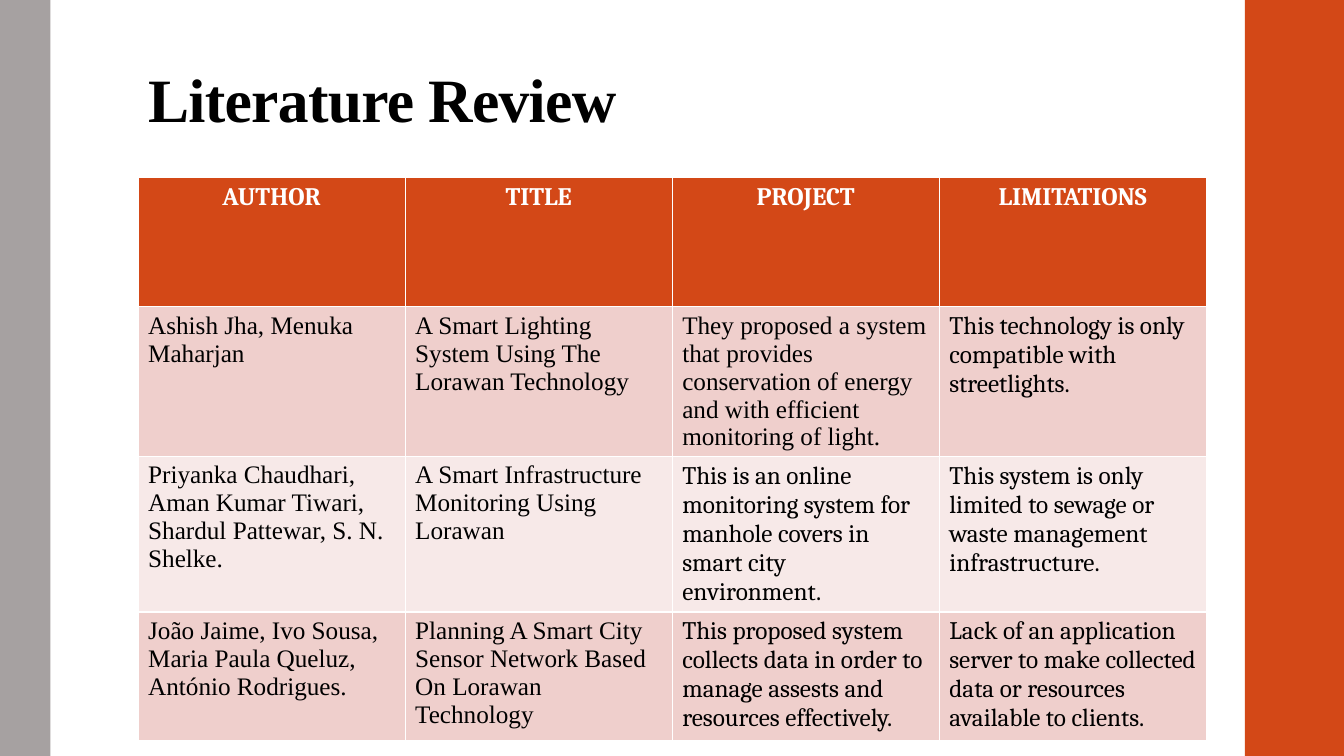
from pptx import Presentation
from pptx.dml.color import RGBColor
from pptx.enum import shapes, text
from pptx.util import Cm, Pt

ORANGE = RGBColor(0xD3, 0x48, 0x17)
GRAY = RGBColor(0xA6, 0xA1, 0xA1)
WHITE = RGBColor(0xFF, 0xFF, 0xFF)
BLACK = RGBColor(0, 0, 0)
DARK_BAND = RGBColor(0xEF, 0xCF, 0xCC)
LIGHT_BAND = RGBColor(0xF7, 0xE9, 0xE8)
SERIF = "Times New Roman"
CAMBRIA = "Cambria"

HEADINGS = ["AUTHOR", "TITLE", "PROJECT", "LIMITATIONS"]
PAPERS = [
    ["Ashish Jha, Menuka Maharjan",
     "A Smart Lighting System Using The Lorawan Technology",
     "They proposed a system that provides conservation of energy and with "
     "efficient monitoring of light.",
     "This technology is only compatible with streetlights."],
    ["Priyanka Chaudhari, Aman Kumar Tiwari, Shardul Pattewar, S. N. Shelke.",
     "A Smart Infrastructure Monitoring Using Lorawan",
     "This is an online monitoring system for manhole covers in smart city "
     "environment.",
     "This system is only limited to sewage or waste management "
     "infrastructure."],
    ["João Jaime, Ivo Sousa, Maria Paula Queluz, António Rodrigues.",
     "Planning A Smart City Sensor Network Based On Lorawan Technology",
     "This proposed system collects data in order to manage assests and "
     "resources effectively.",
     "Lack of an application server to make collected data or resources "
     "available to clients."],
]


def format_run(run, font_name, size, color, bold):
    run.font.name = font_name
    run.font.size = Pt(size)
    run.font.color.rgb = color
    run.font.bold = bold


presentation = Presentation()
presentation.slide_width = Cm(33.87)
presentation.slide_height = Cm(19.05)
slide = presentation.slides.add_slide(presentation.slide_layouts[5])

# Side bars
for left, width, color in [(31.37, 2.5, ORANGE), (0, 1.27, GRAY)]:
    bar = slide.shapes.add_shape(
        shapes.MSO_SHAPE.RECTANGLE, Cm(left), 0, Cm(width), Cm(19.05))
    bar.shadow.inherit = False
    bar.fill.solid()
    bar.fill.fore_color.rgb = color
    bar.line.fill.background()

# Title
title = slide.shapes.title
title.left, title.top, title.width, title.height = (
    Cm(3.48), Cm(0.74), Cm(26.92), Cm(2.82))
frame = title.text_frame
frame.text = "Literature Review"
frame.word_wrap = True
frame.auto_size = text.MSO_AUTO_SIZE.NONE
frame.vertical_anchor = text.MSO_ANCHOR.BOTTOM
frame.margin_left = frame.margin_right = Cm(0.25)
frame.margin_top, frame.margin_bottom = Cm(0.08), Cm(0.13)
paragraph = frame.paragraphs[0]
paragraph.alignment = text.PP_ALIGN.LEFT
paragraph.line_spacing = 0.9
run = paragraph.runs[0]
format_run(run, SERIF, 44, BLACK, True)
run.font._element.set("spc", "-50")

# Review table: the last two columns are in Cambria, save for one cell
table = slide.shapes.add_table(
    4, 4, Cm(3.48), Cm(4.48), Cm(26.92), Cm(13)).table
for row_index, row in enumerate([HEADINGS] + PAPERS):
    is_header = row_index == 0
    band = DARK_BAND if row_index % 2 else LIGHT_BAND
    for column_index, wording in enumerate(row):
        cell = table.cell(row_index, column_index)
        cell.fill.solid()
        cell.fill.fore_color.rgb = ORANGE if is_header else band
        cell.text_frame.text = wording
        paragraph = cell.text_frame.paragraphs[0]
        in_serif = not is_header and (
            column_index < 2 or (row_index, column_index) == (1, 2))
        if is_header:
            paragraph.alignment = text.PP_ALIGN.CENTER
        format_run(paragraph.runs[0], SERIF if in_serif else CAMBRIA, 18,
                   WHITE if is_header else BLACK, is_header)

presentation.save("out.pptx")
